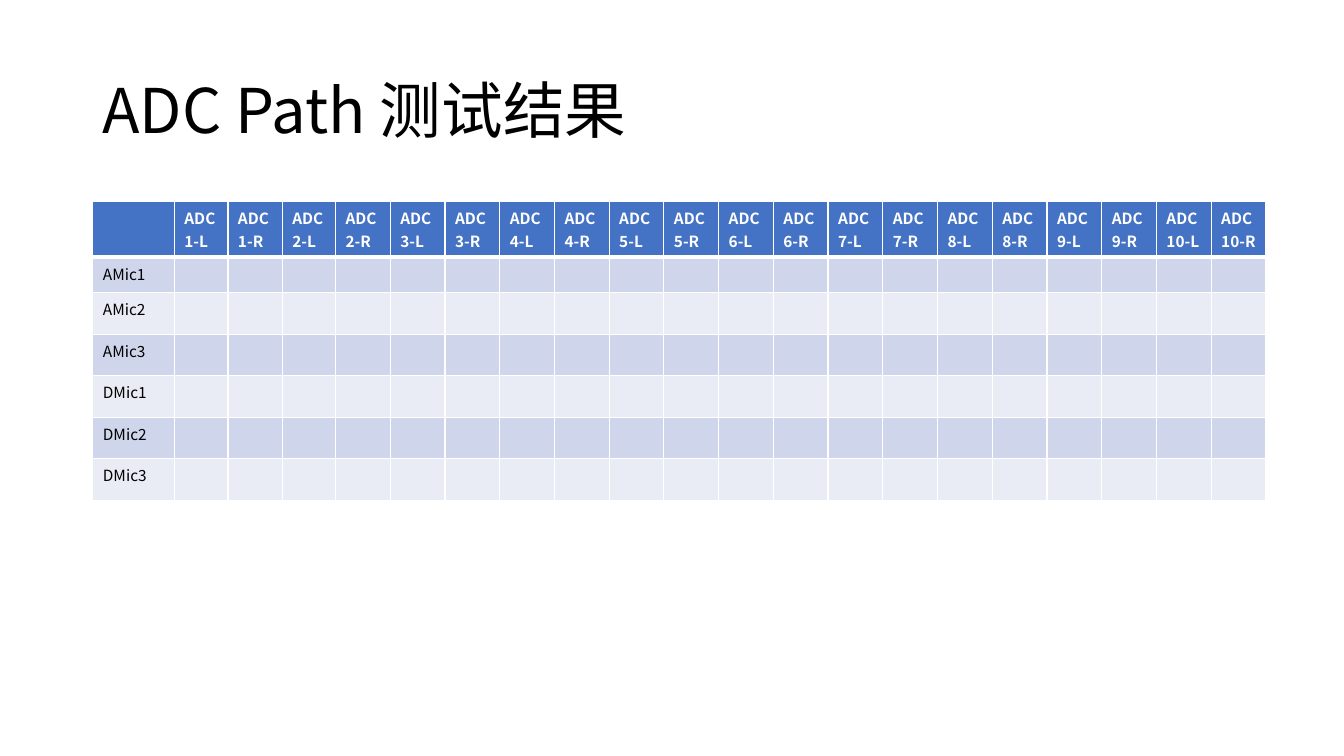
from lxml.etree import SubElement
from pptx import Presentation
from pptx.dml.color import RGBColor
from pptx.enum.text import MSO_ANCHOR, MSO_AUTO_SIZE, PP_ALIGN
from pptx.oxml import parse_xml
from pptx.oxml.ns import nsdecls, qn
from pptx.util import Pt

COLORS = {
    "text": "000000",
    "white": "FFFFFF",
    "header": "4472C4",
    "odd": "CFD5EA",
    "even": "E9EBF5",
}
FONT = "Noto Sans CJK SC"


def write(paragraph, text, size, color, bold=False):
    run = paragraph.add_run()
    run.text = text
    formats = {"name": FONT, "size": Pt(size), "bold": bold}
    for attribute, value in formats.items():
        setattr(run.font, attribute, value)
    run.font.color.rgb = RGBColor.from_string(COLORS[color])
    SubElement(run.font._element, qn("a:ea"), typeface=FONT)


def add_borders(cell, widths):
    properties = cell._tc.get_or_add_tcPr()
    for position, (side, width) in enumerate(widths.items()):
        line = parse_xml(
            f'<a:ln{side} {nsdecls("a")} w="{Pt(width)}"><a:solidFill>'
            f'<a:srgbClr val="{COLORS["white"]}"/></a:solidFill></a:ln{side}>'
        )
        properties.insert(position, line)


presentation = Presentation()
presentation.slide_width = Pt(960)
presentation.slide_height = Pt(540)
slide = presentation.slides.add_slide(presentation.slide_layouts[5])

heading = slide.shapes.title
placement = {"left": 66, "top": 28.75, "width": 828, "height": 104.4}
for attribute, value in placement.items():
    setattr(heading, attribute, Pt(value))
heading_formats = {
    "word_wrap": True,
    "auto_size": MSO_AUTO_SIZE.NONE,
    "vertical_anchor": MSO_ANCHOR.MIDDLE,
}
for attribute, value in heading_formats.items():
    setattr(heading.text_frame, attribute, value)
heading_line = heading.text_frame.paragraphs[0]
heading_line.alignment = PP_ALIGN.LEFT
heading_line.line_spacing = 0.9
write(heading_line, "ADC Path 测试结果", 44, "text")

channels = [f"ADC{number}-{side}" for number in range(1, 11) for side in "LR"]
microphones = [f"{kind}Mic{number}" for kind in "AD" for number in range(1, 4)]
rows = [["", *channels]] + [[name] + [""] * len(channels) for name in microphones]
column_widths = [58.2, 38.3, 38.8, 38.1] + [39.1] * 17
row_heights = [39.6, 25.2] + [29.7] * 5

results = slide.shapes.add_table(
    len(rows), len(column_widths),
    Pt(66.3), Pt(144.2), Pt(sum(column_widths)), Pt(sum(row_heights)),
).table
for column, width in zip(results.columns, column_widths):
    column.width = Pt(width)
for row, height in zip(results.rows, row_heights):
    row.height = Pt(height)

for row_index, labels in enumerate(rows):
    is_header = row_index == 0
    band = "header" if is_header else ("even", "odd")[row_index % 2]
    borders = {
        "L": 1,
        "R": 1,
        "T": 3 if row_index == 1 else 1,
        "B": 3 if is_header else 1,
    }
    for column_index, label in enumerate(labels):
        cell = results.cell(row_index, column_index)
        cell.fill.solid()
        cell.fill.fore_color.rgb = RGBColor.from_string(COLORS[band])
        add_borders(cell, borders)
        paragraph = cell.text_frame.paragraphs[0]
        if label:
            write(paragraph, label, 11, "white" if is_header else "text", is_header)
        else:
            SubElement(paragraph._p, qn("a:endParaRPr"), sz="1100")

presentation.save("out.pptx")
